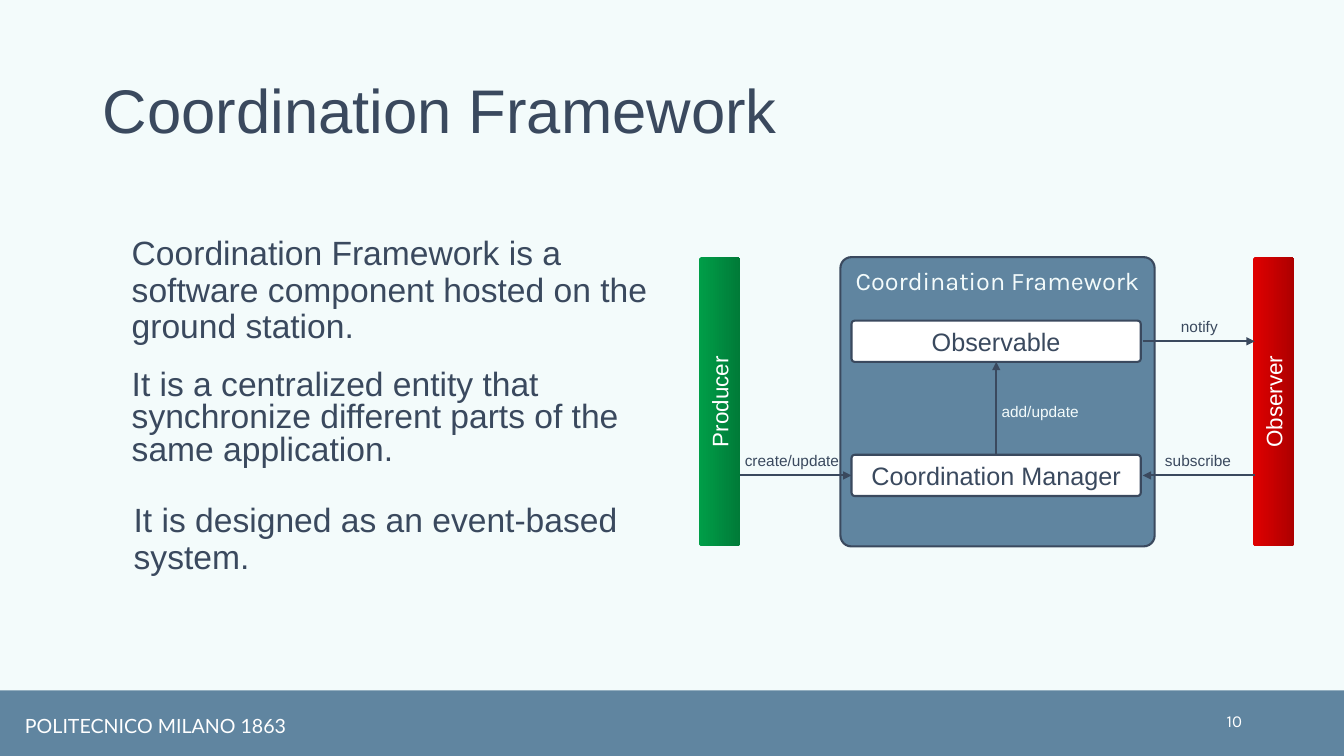
from pptx import Presentation
from pptx import util as u
from pptx.dml.color import RGBColor
from pptx.enum import shapes, text
from pptx.oxml import ns
from lxml import etree

PALE = RGBColor(0xF3, 0xFB, 0xFB)
BLUE = RGBColor(0x60, 0x85, 0xA0)
DARK = RGBColor(0x3A, 0x49, 0x5E)
WHITE = RGBColor(0xFF, 0xFF, 0xFF)
GREEN = [RGBColor(0x00, 0x9E, 0x48), RGBColor(0x00, 0x7B, 0x38)]
RED = [RGBColor(0xE0, 0x00, 0x00), RGBColor(0xAD, 0x00, 0x00)]

WIDE, HIGH = 33.87, 19.05
BAR_TOP = 17.4
LONG, THIN = 7.29, 1.04
ROW_A, ROW_B = 8.6, 11.98
INNER = 21.46
MID = INNER + LONG / 2

TITLE = "Coordination Framework"
FOOT = "POLITECNICO MILANO 1863"
PAGE = "10"
BODY = [
    ("Coordination Framework is a software component hosted on the ground station.", 3.07, 5.84, 0.9),
    ("It is a centralized entity that synchronize different parts of the same application.", 3.07, 9.22, 0.8),
    ("It is designed as an event-based system.", 3.12, 12.57, 0.9),
]
ENDS = [("Producer", 18.13, GREEN), ("Observer", 32.09, RED)]
PARTS = [("Coordination Manager", ROW_B), ("Observable", ROW_A)]
LINKS = [
    (18.64, ROW_B, INNER, ROW_B),
    (28.8, ROW_A, 31.62, ROW_A),
    (31.62, ROW_B, 28.8, ROW_B),
    (MID, ROW_B - THIN / 2, MID, ROW_A + THIN / 2),
]
LABELS = [
    ("create/update", 18.52, 11.25, 2.92, DARK),
    ("notify", 29.51, 7.87, 1.45, DARK),
    ("subscribe", 29.11, 11.25, 2.21, DARK),
    ("add/update", 24.99, 10.01, 2.46, PALE),
]

TOP, MIDDLE = text.MSO_ANCHOR.TOP, text.MSO_ANCHOR.MIDDLE
LEFT, CENTER, RIGHT = text.PP_ALIGN.LEFT, text.PP_ALIGN.CENTER, text.PP_ALIGN.RIGHT

deck = Presentation()
deck.slide_width, deck.slide_height = u.Cm(WIDE), u.Cm(HIGH)
slide = deck.slides.add_slide(deck.slide_layouts[6])
slide.background.fill.solid()
slide.background.fill.fore_color.rgb = PALE


def write(shape, words, size, color, font="Arial", align=LEFT, anchor=TOP, space=None, wrap=True):
    frame = shape.text_frame
    frame.text = words
    frame.word_wrap = wrap
    frame.vertical_anchor = anchor
    para = frame.paragraphs[0]
    para.alignment = align
    para.line_spacing = space
    face = para.runs[0].font
    face.size, face.name = u.Pt(size), font
    face.color.rgb = color


def label(words, x, y, w, h, size, color, **style):
    box = slide.shapes.add_textbox(u.Cm(x), u.Cm(y), u.Cm(w), u.Cm(h))
    write(box, words, size, color, **style)


def block(x, y, w, h, fill, edge=None, round=None):
    kind = shapes.MSO_SHAPE.ROUNDED_RECTANGLE if round else shapes.MSO_SHAPE.RECTANGLE
    shape = slide.shapes.add_shape(kind, u.Cm(x), u.Cm(y), u.Cm(w), u.Cm(h))
    shape.shadow.inherit = False
    if round:
        shape.adjustments[0] = round
    if isinstance(fill, list):
        shape.fill.gradient()
        shape.fill.gradient_angle = 0
        for stop, color in zip(shape.fill.gradient_stops, fill):
            stop.color.rgb = color
        shape._element.spPr.find(ns.qn("a:gradFill")).set("rotWithShape", "0")
    else:
        shape.fill.solid()
        shape.fill.fore_color.rgb = fill
    if edge:
        shape.line.color.rgb = edge
        shape.line.width = u.Pt(1.5)
    else:
        shape.line.fill.background()
    return shape


def arrow(x1, y1, x2, y2):
    line = slide.shapes.add_connector(
        shapes.MSO_CONNECTOR.STRAIGHT, u.Cm(x1), u.Cm(y1), u.Cm(x2), u.Cm(y2))
    line.line.color.rgb = DARK
    line.line.width = u.Pt(1.5)
    etree.SubElement(line.line._get_or_add_ln(), ns.qn("a:tailEnd")).set("type", "triangle")
    etree.SubElement(line._element.spPr, ns.qn("a:effectLst"))


block(0, BAR_TOP, WIDE, HIGH - BAR_TOP, BLUE)
label(FOOT, 0.38, 17.86, 10.85, 0.86, 14, WHITE, font="Lato")
label(TITLE, 2.34, 1.02, 29.21, 3.68, 44, DARK, anchor=MIDDLE, space=0.9)
label(PAGE, 23.93, 17.65, 7.62, 1.02, 12, WHITE, font="Karla", align=RIGHT, anchor=MIDDLE)

panel = block(21.18, 6.48, 7.92, LONG, BLUE, DARK, 0.038)
write(panel, TITLE, 18, PALE, font="Karla", align=CENTER)

for name, x, shades in ENDS:
    side = block(x - LONG / 2, 9.6, LONG, THIN, shades, round=0.081)
    side.rotation = 270
    write(side, name, 16, WHITE, align=CENTER, anchor=MIDDLE)

for name, y in PARTS:
    part = block(INNER, y - THIN / 2, LONG, THIN, WHITE, DARK, 0.081)
    write(part, name, 18, DARK, align=CENTER, anchor=MIDDLE)

for link in LINKS:
    arrow(*link)

for words, x, y, w, color in LABELS:
    label(words, x, y, w, 0.74, 11, color, wrap=False)

for words, x, y, space in BODY:
    label(words, x, y, 14.27, 2.92, 24, DARK, space=space)

deck.save("out.pptx")
